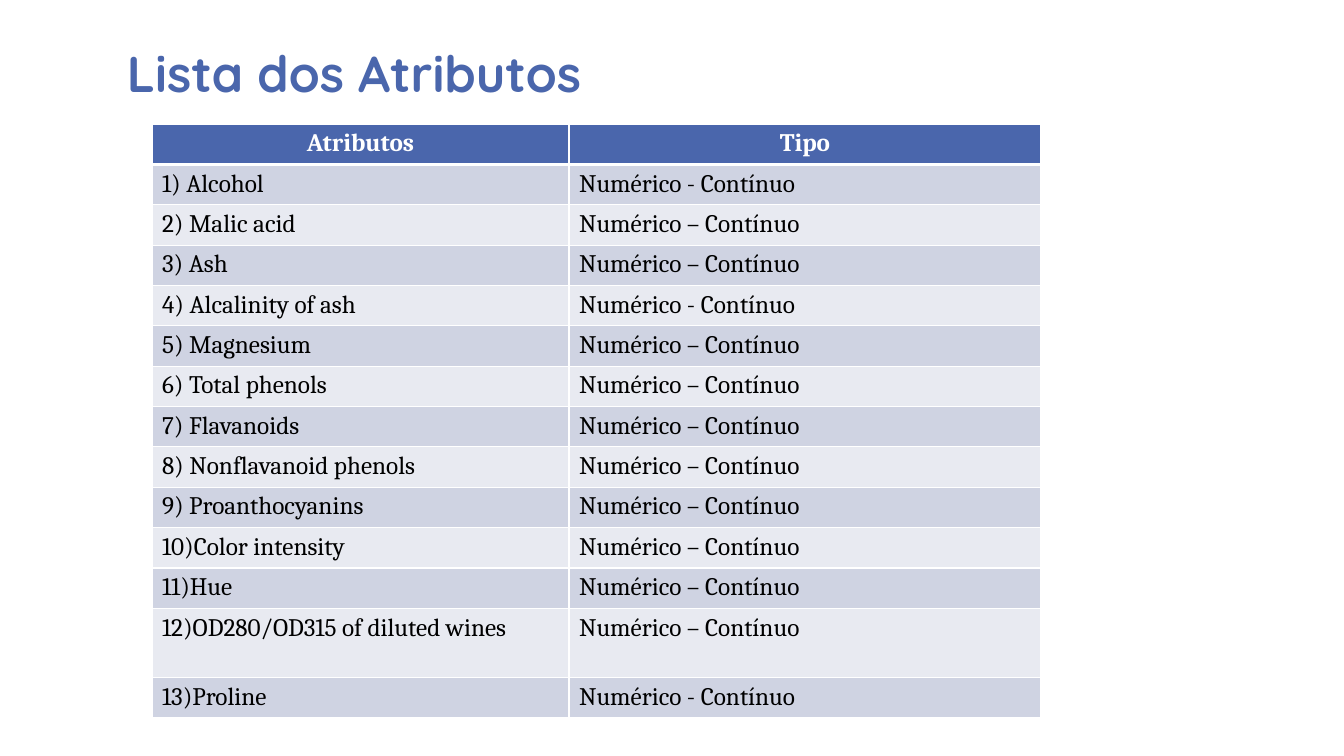
"""Build the slide that lists the wine attributes and their types."""
from lxml.etree import SubElement
from pptx import Presentation
from pptx.dml.color import RGBColor
from pptx.enum.text import MSO_ANCHOR as Anchor, PP_ALIGN as Align
from pptx.oxml.ns import qn
from pptx.util import Emu, Pt

TITLE = "Lista dos Atributos"
HEADER = ("Atributos", "Tipo")
DASH, HYPHEN = "Numérico – Contínuo", "Numérico - Contínuo"
ATTRIBUTES = [
    ("1) Alcohol", HYPHEN),
    ("2) Malic acid", DASH),
    ("3) Ash", DASH),
    ("4) Alcalinity of ash", HYPHEN),
    ("5) Magnesium", DASH),
    ("6) Total phenols", DASH),
    ("7) Flavanoids", DASH),
    ("8) Nonflavanoid phenols", DASH),
    ("9) Proanthocyanins", DASH),
    ("10)Color intensity", DASH),
    ("11)Hue", DASH),
    ("12)OD280/OD315 of diluted wines", DASH),
    ("13)Proline", HYPHEN),
]

BLUE = RGBColor(0x4A, 0x66, 0xAC)
DARK_BAND = RGBColor(0xCF, 0xD3, 0xE2)
LIGHT_BAND = RGBColor(0xE8, 0xEA, 0xF1)
WHITE = RGBColor(0xFF, 0xFF, 0xFF)
BLACK = RGBColor(0, 0, 0)

SLIDE_SIZE = (1344, 756)
TITLE_BOX = (117, -10, 958, 118)
TABLE_LEFT, TABLE_TOP = 152, 124
COLUMN_WIDTHS = (417, 472)
ROW_HEIGHT, TALL_HEIGHT, TALL_ROW = 39, 69, 12
THIN, THICK = 0.96, 3


def px(length):
    """Turn px into EMU."""
    return Emu(round(length * 914400 / 100.8))


def style(para, font_name, size, color, bold):
    """Format every run of a paragraph."""
    for span in para.runs:
        font = span.font
        font.name, font.size, font.bold = font_name, Pt(size), bold
        font.color.rgb = color


def add_borders(cell, top, bottom):
    """Draw white lines around a cell."""
    properties = cell._tc.get_or_add_tcPr()
    sides = (("a:lnL", THIN), ("a:lnR", THIN), ("a:lnT", top), ("a:lnB", bottom))
    for position, (tag, width) in enumerate(sides):
        line = SubElement(properties, qn(tag), w=str(Pt(width)))
        fill = SubElement(line, qn("a:solidFill"))
        SubElement(fill, qn("a:srgbClr"), val=str(WHITE))
        properties.insert(position, line)


def add_title(page):
    """Place the slide title."""
    frame = page.shapes.add_textbox(*map(px, TITLE_BOX)).text_frame
    frame.word_wrap = True
    frame.vertical_anchor = Anchor.BOTTOM
    frame.text = TITLE
    para = frame.paragraphs[0]
    para.line_spacing = 0.9
    style(para, "Quicksand", 36, BLUE, True)


def add_attribute_table(page):
    """Place the banded table of attributes."""
    rows = [HEADER, *ATTRIBUTES]
    heights = [TALL_HEIGHT if i == TALL_ROW else ROW_HEIGHT for i in range(len(rows))]
    bounds = (TABLE_LEFT, TABLE_TOP, sum(COLUMN_WIDTHS), sum(heights))
    table = page.shapes.add_table(len(rows), len(HEADER), *map(px, bounds)).table
    for column, width in zip(table.columns, COLUMN_WIDTHS):
        column.width = px(width)
    for i, (row, texts) in enumerate(zip(table.rows, rows)):
        row.height = px(heights[i])
        is_header = i == 0
        band = BLUE if is_header else DARK_BAND if i % 2 else LIGHT_BAND
        for cell, text in zip(row.cells, texts):
            cell.text = text
            cell.fill.solid()
            cell.fill.fore_color.rgb = band
            para = cell.text_frame.paragraphs[0]
            para.alignment = Align.CENTER if is_header else Align.LEFT
            style(para, "Cambria", 18, WHITE if is_header else BLACK, is_header)
            add_borders(cell, THICK if i == 1 else THIN, THICK if is_header else THIN)


def main():
    """Build and save the deck."""
    deck = Presentation()
    deck.slide_width, deck.slide_height = map(px, SLIDE_SIZE)
    page = deck.slides.add_slide(deck.slide_layouts[6])
    add_title(page)
    add_attribute_table(page)
    deck.save("out.pptx")


if __name__ == "__main__":
    main()
